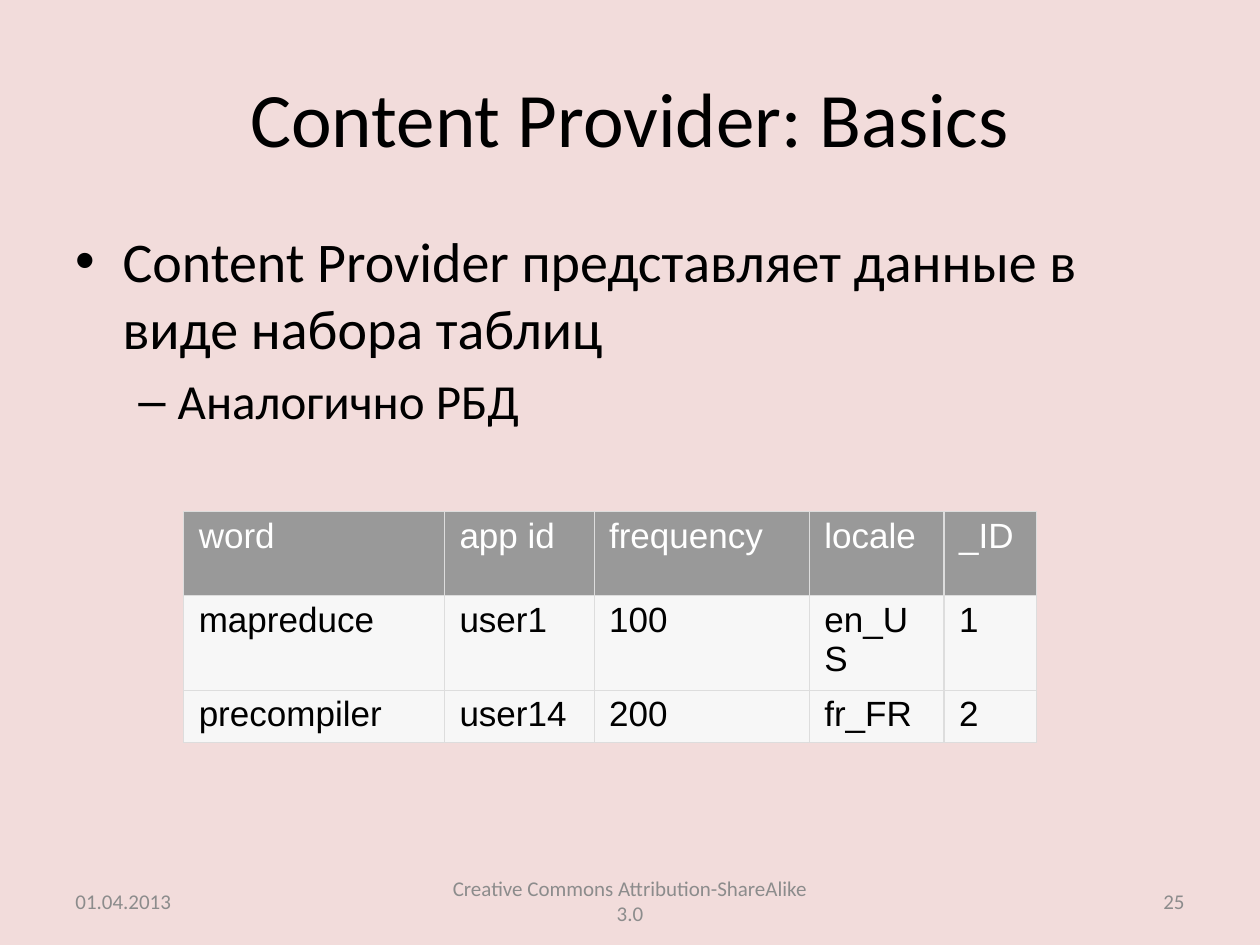
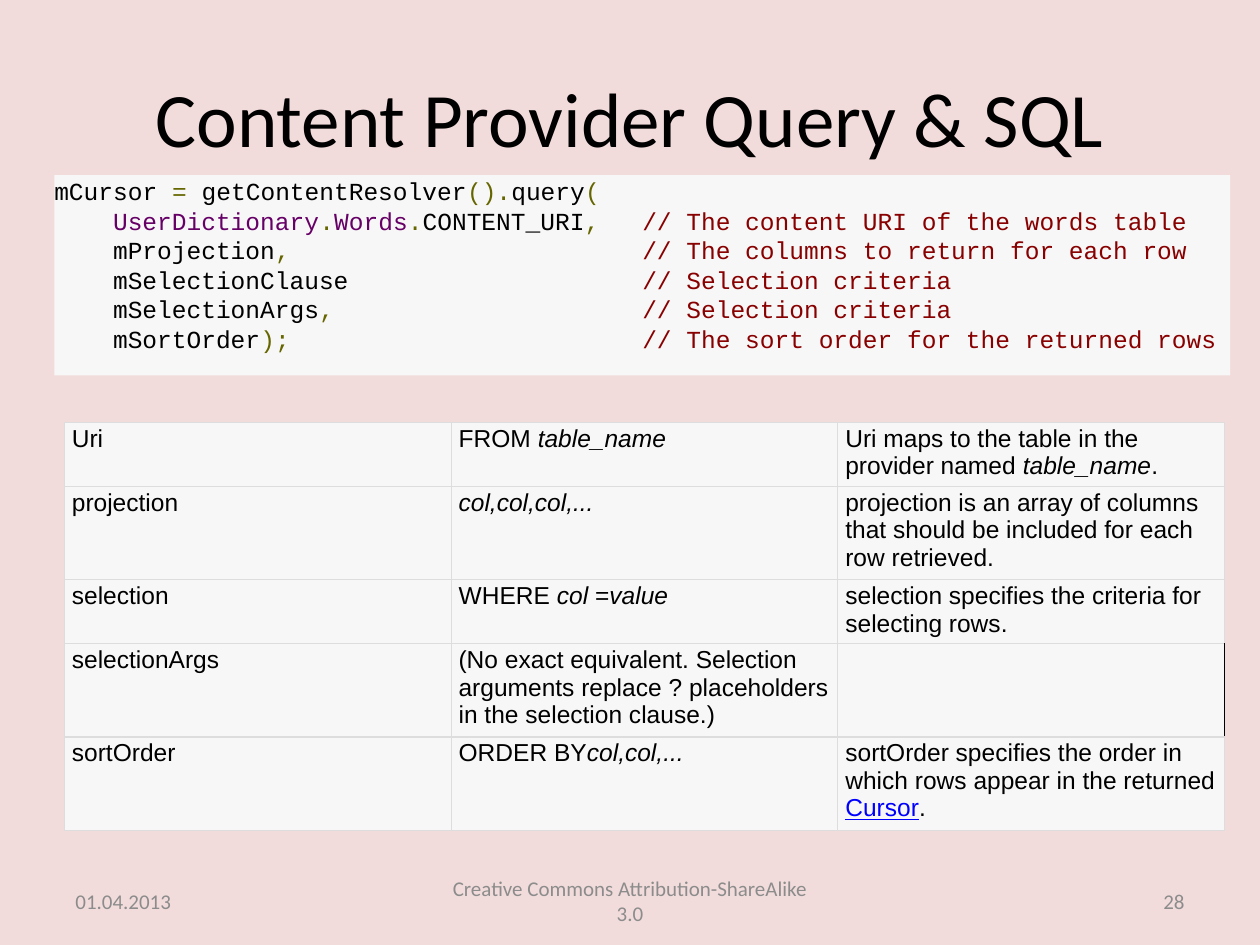
from lxml import etree
from pptx import Presentation
from pptx.dml.color import RGBColor
from pptx.enum.shapes import MSO_SHAPE
from pptx.enum.text import MSO_ANCHOR, PP_ALIGN
from pptx.oxml.ns import qn
from pptx.util import Pt

LEFT, CENTER, RIGHT = PP_ALIGN.LEFT, PP_ALIGN.CENTER, PP_ALIGN.RIGHT
TOP, MIDDLE = MSO_ANCHOR.TOP, MSO_ANCHOR.MIDDLE
RECTANGLE = MSO_SHAPE.RECTANGLE
TITLE_ONLY = 5

COLORS = {
    "background": "F2DCDB",
    "text": "000000",
    "footer": "8C8C8C",
    "header": "999999",
    "header text": "FFFFFF",
    "panel": "F7F7F7",
    "border": "DDDDDD",
    "link": "0000FF",
    "operator": "666600",
    "type": "660066",
    "comment": "880000",
}
HEADING_FONT, TABLE_FONT, CODE_FONT = "Calibri", "Arial", "Courier New"

# Footer, shared by both slides
DATE = "01.04.2013"
LICENSE = "Creative Commons Attribution-ShareAlike 3.0"

# Slide content
WORDS = [
    ["word", "app id", "frequency", "locale", "_ID"],
    ["mapreduce", "user1", "100", "en_US", "1"],
    ["precompiler", "user14", "200", "fr_FR", "2"],
]

# Cells are plain strings or lists of (text, style) runs
QUERY_TO_SQL = [
    ["Uri",
     [("FROM ", ""), ("table_name", "italic")],
     [("Uri maps to the table in the provider named ", ""),
      ("table_name", "italic"), (".", "")]],
    ["projection",
     [("col,col,col,...", "italic")],
     "projection is an array of columns that should be included for each "
     "row retrieved."],
    ["selection",
     [("WHERE ", ""), ("col", "italic"), (" =", ""), ("value", "italic")],
     "selection specifies the criteria for selecting rows."],
    ["selectionArgs",
     "(No exact equivalent. Selection arguments replace ? placeholders in "
     "the selection clause.)",
     ""],
    ["sortOrder",
     [("ORDER BY", ""), ("col,col,...", "italic")],
     [("sortOrder specifies the order in which rows appear in the returned ", ""),
      ("Cursor", "link"), (".", "")]],
]

# Code lines as (text, colour) runs; tabs lead to the argument and comment columns
QUERY_CODE = [
    [("mCursor ", "text"), ("= ", "operator"), ("getContentResolver", "text"),
     ("().", "operator"), ("query", "text"), ("(", "operator")],
    [("\tUserDictionary", "type"), (".", "operator"), ("Words", "type"),
     (".", "operator"), ("CONTENT_URI", "text"), (",", "operator"),
     ("\t// The content URI of the words table", "comment")],
    [("\tmProjection", "text"), (",", "operator"),
     ("\t// The columns to return for each row", "comment")],
    [("\tmSelectionClause", "text"), ("\t// Selection criteria", "comment")],
    [("\tmSelectionArgs", "text"), (",", "operator"),
     ("\t// Selection criteria", "comment")],
    [("\tmSortOrder", "text"), (");", "operator"),
     ("\t// The sort order for the returned rows", "comment")],
]
CODE_SIZE = 14
CODE_CHAR = CODE_SIZE * 0.6
CODE_TABS = [4 * CODE_CHAR, 40 * CODE_CHAR]


def rgb(name):
    return RGBColor.from_string(COLORS[name])


def place(box):
    return [Pt(length) for length in box]


def add_run(paragraph, text, font, size, color="text", style=""):
    run = paragraph.add_run()
    run.text = text
    run.font.name = font
    run.font.size = Pt(size)
    run.font.color.rgb = rgb("link" if style == "link" else color)
    if style == "italic":
        run.font.italic = True
    if style == "link":
        run.font.underline = True


def add_text_box(slide, box, anchor):
    frame = slide.shapes.add_textbox(*place(box)).text_frame
    frame.word_wrap = True
    frame.vertical_anchor = anchor
    return frame


def add_footer_text(slide, left, width, text, align):
    frame = add_text_box(slide, (left, 500.5, width, 28.75), MIDDLE)
    paragraph = frame.paragraphs[0]
    paragraph.alignment = align
    add_run(paragraph, text, HEADING_FONT, 12, "footer")


def add_titled_slide(prs, title, number):
    slide = prs.slides.add_slide(prs.slide_layouts[TITLE_ONLY])
    heading = slide.shapes.title
    heading.left, heading.top, heading.width, heading.height = place(
        (36, 21.6, 648, 90))
    heading.text_frame.vertical_anchor = MIDDLE
    paragraph = heading.text_frame.paragraphs[0]
    paragraph.alignment = CENTER
    add_run(paragraph, title, HEADING_FONT, 44)

    add_footer_text(slide, 36, 168, DATE, LEFT)
    add_footer_text(slide, 246, 228, LICENSE, CENTER)
    add_footer_text(slide, 516, 168, number, RIGHT)
    return slide


def add_bullet(paragraph, text, size, mark, margin, hanging):
    paragraph.space_before = Pt(size * 0.2)
    properties = paragraph._p.get_or_add_pPr()
    properties.set("marL", str(Pt(margin)))
    properties.set("indent", str(-Pt(hanging)))
    etree.SubElement(properties, qn("a:buFont"), typeface="Arial")
    etree.SubElement(properties, qn("a:buChar"), char=mark)
    add_run(paragraph, text, HEADING_FONT, size)


def set_border(cell, side, color, width=0.75):
    line = etree.SubElement(cell._tc.get_or_add_tcPr(), qn(f"a:ln{side}"),
                            w=str(Pt(width)))
    fill = etree.SubElement(line, qn("a:solidFill"))
    etree.SubElement(fill, qn("a:srgbClr"), val=COLORS[color])


def fill_cell(cell, content, size, insets, fill, color, right_border):
    for side in "LRTB":
        if side == "R" and right_border:
            set_border(cell, side, right_border, 1)
        else:
            set_border(cell, side, "border")
    cell.fill.solid()
    cell.fill.fore_color.rgb = rgb(fill)
    cell.margin_left = cell.margin_right = Pt(insets[0])
    cell.margin_top = cell.margin_bottom = Pt(insets[1])
    cell.vertical_anchor = TOP
    runs = [(content, "")] if isinstance(content, str) else content
    for text, style in runs:
        if text:
            add_run(cell.text_frame.paragraphs[0], text, TABLE_FONT, size,
                    color, style)


def add_data_table(slide, left, top, widths, heights, rows, size, insets,
                   has_header=False, right_borders=None):
    box = (left, top, sum(widths), sum(heights))
    table = slide.shapes.add_table(len(rows), len(widths), *place(box)).table
    table.first_row = table.horz_banding = False
    for column, width in zip(table.columns, widths):
        column.width = Pt(width)
    for r, (height, contents) in enumerate(zip(heights, rows)):
        table.rows[r].height = Pt(height)
        is_header = has_header and r == 0
        fill = "header" if is_header else "panel"
        color = "header text" if is_header else "text"
        for c, content in enumerate(contents):
            fill_cell(table.cell(r, c), content, size, insets, fill, color,
                      (right_borders or {}).get((r, c)))


def add_code_panel(slide, box, lines):
    panel = slide.shapes.add_shape(RECTANGLE, *place(box))
    panel.shadow.inherit = False
    panel.fill.solid()
    panel.fill.fore_color.rgb = rgb("panel")
    panel.line.fill.background()
    frame = panel.text_frame
    frame.word_wrap = True
    frame.vertical_anchor = MIDDLE
    frame.margin_left = frame.margin_right = frame.margin_top = 0
    frame.margin_bottom = Pt(12)
    for i, line in enumerate(lines):
        paragraph = frame.add_paragraph() if i else frame.paragraphs[0]
        paragraph.alignment = LEFT
        stops = etree.SubElement(paragraph._p.get_or_add_pPr(), qn("a:tabLst"))
        for position in CODE_TABS:
            etree.SubElement(stops, qn("a:tab"), pos=str(Pt(position)), algn="l")
        for text, color in line:
            add_run(paragraph, text, CODE_FONT, CODE_SIZE, color)


def build_basics(prs):
    slide = add_titled_slide(prs, "Content Provider: Basics", "25")
    body = add_text_box(slide, (36, 126, 648, 356.4), TOP)
    add_bullet(body.paragraphs[0],
               "Content Provider представляет данные в виде набора таблиц",
               32, "•", 27, 27)
    add_bullet(body.add_paragraph(), "Аналогично РБД", 28, "–", 58.5, 22.5)
    add_data_table(slide, 105, 292.5, [149, 85.5, 123, 77, 53], [48, 51, 28],
                   WORDS, 20, (8.6, 2.9), has_header=True)


def build_query(prs):
    slide = add_titled_slide(prs, "Content Provider Query & SQL", "28")
    add_code_panel(slide, (31, 100, 672, 114.5), QUERY_CODE)
    two_lines, three_lines = 36.6, 53.2
    heights = [two_lines, three_lines, two_lines, three_lines, three_lines]
    add_data_table(slide, 36.8, 241.5, [221] * 3, heights, QUERY_TO_SQL, 14,
                   (4.3, 1.4), right_borders={(3, 2): "text"})


def main():
    prs = Presentation()
    prs.slide_width, prs.slide_height = Pt(720), Pt(540)
    background = prs.slide_master.background.fill
    background.solid()
    background.fore_color.rgb = rgb("background")
    build_basics(prs)
    build_query(prs)
    prs.save("out.pptx")


if __name__ == "__main__":
    main()
